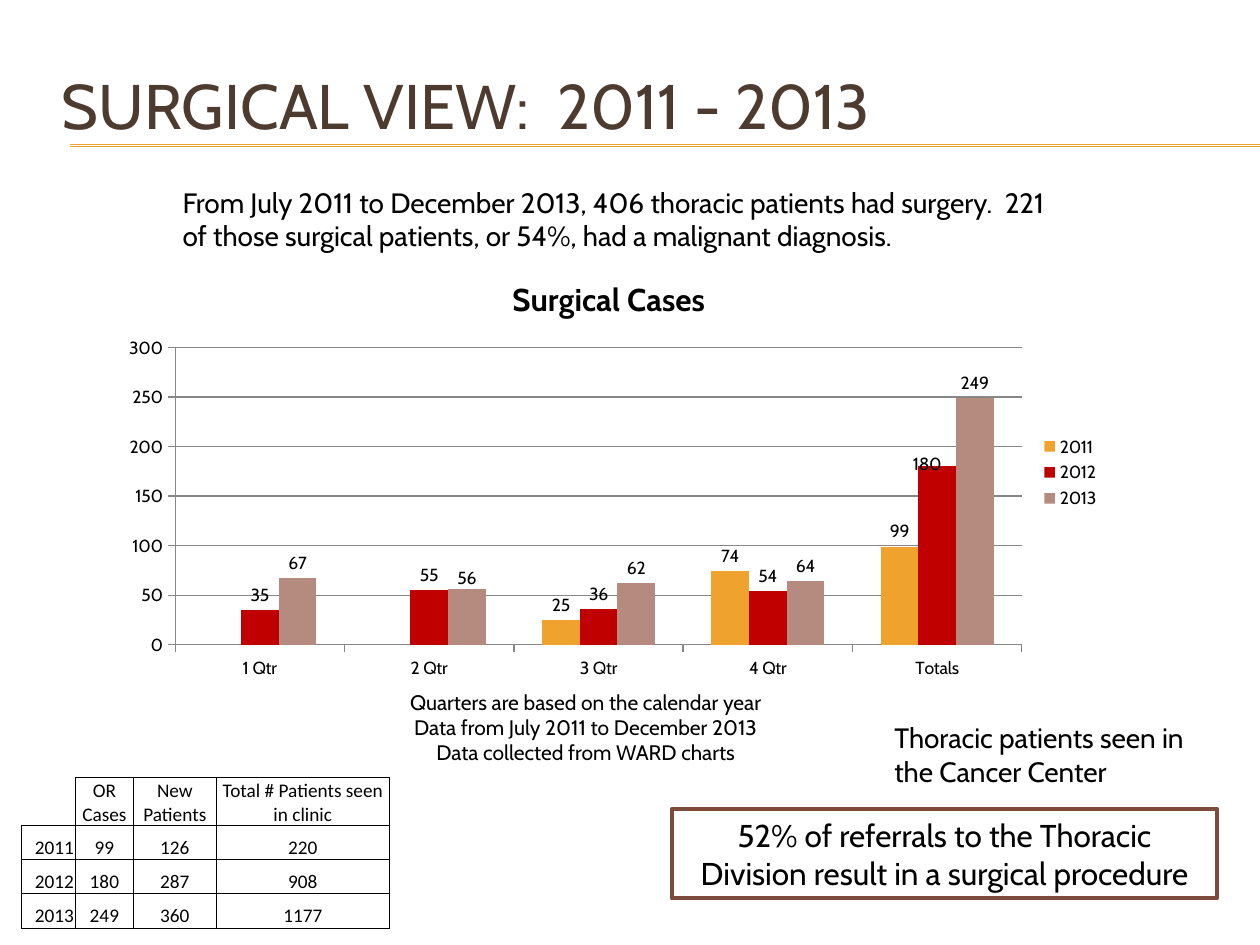
from dataclasses import dataclass

from lxml.etree import SubElement
from pptx import Presentation
from pptx.chart.data import CategoryChartData
from pptx.dml.color import RGBColor
from pptx.enum.chart import XL_CHART_TYPE, XL_LABEL_POSITION, XL_LEGEND_POSITION, XL_TICK_MARK
from pptx.enum.shapes import MSO_CONNECTOR, MSO_SHAPE
from pptx.enum.text import MSO_ANCHOR, PP_ALIGN
from pptx.oxml import parse_xml
from pptx.oxml.ns import nsdecls, qn
from pptx.util import Cm, Pt


@dataclass(frozen=True)
class Theme:
    font: str = "Cabin"
    grid_font: str = "Calibri"
    ink: str = "000000"
    title: str = "4E3B30"
    gold: str = "F0A22E"
    red: str = "C00000"
    rose: str = "B58B80"
    frame: str = "7C4B3B"
    rule: str = "878787"
    head: int = 36
    large: int = 18
    body: int = 16
    note: int = 12
    cell: int = 11
    label: int = 10


THEME = Theme()


def color(code):
    return RGBColor.from_string(code)


def style(font, size, code=THEME.ink, name=THEME.font, bold=False):
    font.name, font.size, font.bold = name, Pt(size), bold
    font.color.rgb = color(code)


def write(frame, lines, size, align=PP_ALIGN.LEFT, **look):
    frame.word_wrap = True
    for i, line in enumerate(lines):
        para = frame.add_paragraph() if i else frame.paragraphs[0]
        para.alignment = align
        run = para.add_run()
        run.text = line
        style(run.font, size, **look)


def add_title(slide, text, box):
    title = slide.shapes.title
    title.left, title.top, title.width, title.height = map(Cm, box)
    title.text_frame.vertical_anchor = MSO_ANCHOR.MIDDLE
    write(title.text_frame, [text], THEME.head, code=THEME.title)


def add_rule(slide, left, right, top):
    rule = slide.shapes.add_connector(
        MSO_CONNECTOR.STRAIGHT, Cm(left), Cm(top), Cm(right), Cm(top))
    rule.line.color.rgb = color(THEME.gold)
    rule.line.width = Pt(0.75)
    SubElement(rule._element.spPr, qn("a:effectLst"))


def add_text(slide, lines, box, size, align=PP_ALIGN.LEFT):
    shape = slide.shapes.add_textbox(*map(Cm, box))
    write(shape.text_frame, lines, size, align)


def add_frame(slide, text, box):
    shape = slide.shapes.add_shape(MSO_SHAPE.RECTANGLE, *map(Cm, box))
    shape.shadow.inherit = False
    shape.fill.background()
    shape.line.color.rgb = color(THEME.frame)
    shape.line.width = Pt(2.25)
    write(shape.text_frame, [text], THEME.large, PP_ALIGN.CENTER)


def set_edges(cell, shown):
    props = cell._tc.get_or_add_tcPr()
    for side in "LRTB":
        edge = SubElement(props, qn(f"a:ln{side}"), w=str(Pt(0.5)))
        if side in shown:
            fill = SubElement(edge, qn("a:solidFill"))
            SubElement(fill, qn("a:srgbClr"), val=THEME.ink)
        else:
            SubElement(edge, qn("a:noFill"))


def add_grid(slide, rows, box, widths):
    table = slide.shapes.add_table(len(rows), len(widths), *map(Cm, box)).table
    table.first_row = table.horz_banding = False
    for col, width in zip(table.columns, widths):
        col.width = Cm(width)
    for r, row in enumerate(rows):
        for c, text in enumerate(row):
            cell = table.cell(r, c)
            set_edges(cell, "LRTB" if text else "RB")
            cell.fill.background()
            cell.vertical_anchor = MSO_ANCHOR.BOTTOM
            cell.margin_left = cell.margin_right = cell.margin_top = Cm(0.03)
            cell.margin_bottom = 0
            if text:
                align = PP_ALIGN.CENTER if c else PP_ALIGN.RIGHT
                write(cell.text_frame, [text], THEME.cell, align, name=THEME.grid_font)


def make_layout(**parts):
    modes = "".join(f'<c:{k}Mode val="edge"/>' for k in parts if k in "xy")
    inner = '<c:layoutTarget val="inner"/>' if "w" in parts else ""
    if not inner:
        modes = ""
    sizes = "".join(f'<c:{k} val="{v}"/>' for k, v in parts.items())
    return parse_xml(f'<c:layout {nsdecls("c")}><c:manualLayout>{inner}{modes}'
                     f'{sizes}</c:manualLayout></c:layout>')


def nudge(series, index, x, y):
    label = series.points[index].data_label
    style(label.font, THEME.label)
    label.position = XL_LABEL_POSITION.OUTSIDE_END
    series._element.find(f".//{qn('c:dLbl')}").insert(1, make_layout(x=x, y=y))


def style_axes(chart):
    scale = chart.value_axis
    scale.minimum_scale, scale.maximum_scale, scale.major_unit = 0, 300, 50
    scale.has_major_gridlines = True
    lines = [scale.major_gridlines.format.line]
    for axis in (scale, chart.category_axis):
        axis.major_tick_mark = XL_TICK_MARK.OUTSIDE
        axis.minor_tick_mark = XL_TICK_MARK.NONE
        lines.append(axis.format.line)
    for line in lines:
        line.color.rgb = color(THEME.rule)
        line.width = Pt(0.75)


def add_bars(slide, title, cats, sets, box):
    data = CategoryChartData()
    data.categories = cats
    for name, vals, _ in sets:
        data.add_series(name, vals)
    chart = slide.shapes.add_chart(
        XL_CHART_TYPE.COLUMN_CLUSTERED, *map(Cm, box), data).chart
    style(chart.font, THEME.label)
    write(chart.chart_title.text_frame, [title], THEME.large, PP_ALIGN.CENTER, bold=True)
    chart.chart_title.include_in_layout = True
    chart.has_legend = True
    chart.legend.position = XL_LEGEND_POSITION.RIGHT
    chart.legend.include_in_layout = False
    style_axes(chart)
    plot = chart.plots[0]
    plot.gap_width, plot.overlap, plot.vary_by_categories = 150, 0, False
    for series, (_, _, code) in zip(plot.series, sets):
        series.format.fill.solid()
        series.format.fill.fore_color.rgb = color(code)
        labels = series.data_labels
        labels.show_value = True
        labels.position = XL_LABEL_POSITION.OUTSIDE_END
        style(labels.font, THEME.label)
    nudge(plot.series[1], 4, -0.01, 0.03)
    nudge(plot.series[2], 1, 0, 0.01)
    area = chart._chartSpace.chart.plotArea
    for old in area.findall(qn("c:layout")):
        area.remove(old)
    area.insert(0, make_layout(x=0.07, y=0.21, w=0.84, h=0.69))


def main():
    deck = Presentation()
    deck.slide_width, deck.slide_height = Cm(25.4), Cm(19.05)
    slide = deck.slides.add_slide(deck.slide_layouts[5])
    for top in (2.92, 2.95):
        add_rule(slide, 1.42, 25.4, top)
    add_title(slide, "SURGICAL VIEW:  2011 - 2013", (0.99, 0.94, 24.13, 2.34))
    add_text(slide, ["Thoracic patients seen in the Cancer Center"],
             (17.78, 14.4, 6.78, 1.63), THEME.body)
    add_grid(slide, [
        ("", "OR Cases", "New Patients", "Total # Patients seen in clinic"),
        ("2011", "99", "126", "220"),
        ("2012", "180", "287", "908"),
        ("2013", "249", "360", "1177"),
    ], (0.43, 15.67, 7.42, 2.77), (1.09, 1.17, 1.67, 3.49))
    add_bars(slide, "Surgical Cases", ("1 Qtr", "2 Qtr", "3 Qtr", "4 Qtr", "Totals"), [
        ("2011", (None, None, 25, 74, 99), THEME.gold),
        ("2012", (35, 55, 36, 54, 180), THEME.red),
        ("2013", (67, 56, 62, 64, 249), THEME.rose),
    ], (2.11, 5.18, 20.32, 8.69))
    add_text(slide, [
        "Quarters are based on the calendar year",
        "Data from July 2011 to December 2013",
        "Data collected from WARD charts",
    ], (7.9, 13.77, 7.82, 1.8), THEME.note, PP_ALIGN.CENTER)
    add_frame(slide, "52% of referrals to the Thoracic Division result in a surgical procedure",
              (13.54, 16.31, 11, 1.8))
    add_text(slide, ["From July 2011 to December 2013, 406 thoracic patients had surgery.  "
                     "221 of those surgical patients, or 54%, had a malignant diagnosis."],
             (3.43, 3.61, 18.36, 1.63), THEME.body)
    deck.save("out.pptx")


if __name__ == "__main__":
    main()
